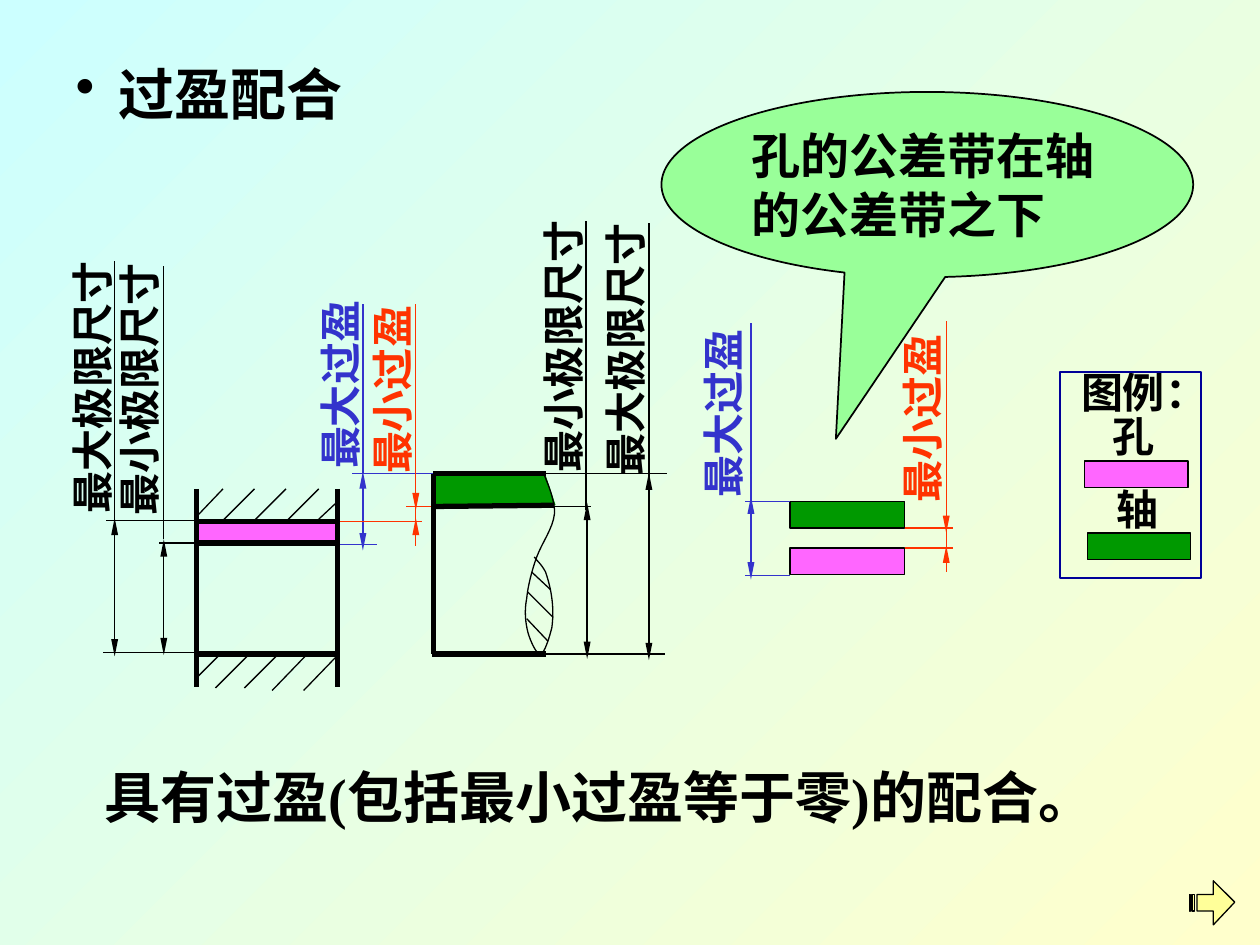
from lxml.etree import SubElement
from pptx import Presentation
from pptx.dml.color import RGBColor
from pptx.enum.lang import MSO_LANGUAGE_ID
from pptx.enum.shapes import MSO_CONNECTOR, MSO_SHAPE
from pptx.enum.text import MSO_ANCHOR, MSO_AUTO_SIZE, PP_ALIGN
from pptx.oxml.ns import qn
from pptx.util import Pt

PX = 9144
BLACK, BLUE, RED, NAVY = "000000", "3333CC", "FF3300", "000099"
HOLE, SHAFT, BUBBLE, YELLOW = "FF66FF", "009900", "99FF99", "FFFF99"
THIN, THICK = 0.75, 3
CURVE_STEPS = 8


def rgb(code):
    return RGBColor.from_string(code)


def px(*lengths):
    return [round(length * PX) for length in lengths]


def write(frame, text, size, colour=BLACK, align=PP_ALIGN.LEFT):
    paragraph = frame.paragraphs[0]
    paragraph.alignment = align
    run = paragraph.add_run()
    run.text = text
    font = run.font
    font.name, font.size, font.bold = "Times New Roman", Pt(size), True
    font.language_id = MSO_LANGUAGE_ID.SIMPLIFIED_CHINESE
    font.color.rgb = rgb(colour)


def add_label(slide, text, box, colour=BLACK, size=24, rotation=0, wrap=False,
              anchor=MSO_ANCHOR.TOP, align=PP_ALIGN.LEFT):
    label = slide.shapes.add_textbox(*px(*box))
    label.rotation = rotation
    frame = label.text_frame
    frame.word_wrap = wrap
    frame.auto_size = MSO_AUTO_SIZE.SHAPE_TO_FIT_TEXT
    frame.vertical_anchor = anchor
    write(frame, text, size, colour, align)


def add_upright_label(slide, text, left, top, length, colour=BLACK, wrap=False):
    add_label(slide, text, (left, top, length, 50), colour, rotation=270, wrap=wrap)


def paint(shape, fill, line, width=THIN):
    shape.shadow.inherit = False
    if fill:
        shape.fill.solid()
        shape.fill.fore_color.rgb = rgb(fill)
    else:
        shape.fill.background()
    if line:
        shape.line.color.rgb = rgb(line)
        shape.line.width = Pt(width)
    else:
        shape.line.fill.background()


def add_preset(slide, preset, box, fill, line=BLACK, width=THIN):
    shape = slide.shapes.add_shape(preset, *px(*box))
    paint(shape, fill, line, width)
    return shape


def add_outline(slide, contours, fill, line, closed=True):
    first, *others = [[tuple(px(*point)) for point in contour] for contour in contours]
    builder = slide.shapes.build_freeform(*first[0], scale=1)
    builder.add_line_segments(first[1:], close=closed)
    for contour in others:
        builder.move_to(*contour[0])
        builder.add_line_segments(contour[1:], close=closed)
    paint(builder.convert_to_shape(), fill, line)


def add_lines(slide, segments, colour=BLACK, width=THIN, ends=()):
    for x1, y1, x2, y2 in segments:
        connector = slide.shapes.add_connector(MSO_CONNECTOR.STRAIGHT, *px(x1, y1, x2, y2))
        connector.line.color.rgb = rgb(colour)
        connector.line.width = Pt(width)
        outline = connector.line._get_or_add_ln()
        for end in ends:
            SubElement(outline, qn(f"a:{end}"), type="triangle", w="sm", len="lg")
        SubElement(connector._element.spPr, qn("a:effectLst"))


def add_dimensions(slide, segments, colour=BLACK):
    add_lines(slide, segments, colour, ends=("headEnd", "tailEnd"))


def add_pointers(slide, segments, colour):
    add_lines(slide, segments, colour, ends=("headEnd",))


def smooth_points(start, curves):
    points = [start]
    for curve in curves:
        corners = [points[-1], *zip(curve[::2], curve[1::2])]
        for step in range(1, CURVE_STEPS + 1):
            t = step / CURVE_STEPS
            weights = ((1 - t) ** 3, 3 * t * (1 - t) ** 2, 3 * t * t * (1 - t), t ** 3)
            points.append(tuple(sum(w * corner[axis] for w, corner in zip(weights, corners))
                                for axis in (0, 1)))
    return points


def draw_background(slide):
    fill = slide.background.fill
    fill.gradient()
    fill.gradient_angle = 315
    for stop, colour in zip(fill.gradient_stops, ("CCFFFF", "FFFFCC")):
        stop.color.rgb = rgb(colour)


def draw_heading(slide):
    heading = slide.shapes.title
    heading.left, heading.top, heading.width, heading.height = px(50, 42, 297, 64)
    frame = heading.text_frame
    frame.auto_size = MSO_AUTO_SIZE.NONE
    frame.vertical_anchor = MSO_ANCHOR.MIDDLE
    properties = frame.paragraphs[0]._p.get_or_add_pPr()
    properties.set("marL", str(34 * PX))
    properties.set("indent", str(-34 * PX))
    SubElement(SubElement(properties, qn("a:buClr")), qn("a:srgbClr"), val=BLACK)
    SubElement(properties, qn("a:buChar"), char="•")
    write(frame, "过盈配合", 32)


def draw_tolerance_zones(slide):
    for top, fill in ((398, SHAFT), (435, HOLE)):
        add_preset(slide, MSO_SHAPE.RECTANGLE, (627, top, 91, 21), fill)
    add_upright_label(slide, "最大过盈", 497, 303, 153, BLUE)
    add_lines(slide, [(627, 398, 591, 398), (627, 457, 591, 457), (596, 398, 596, 256)], BLUE)
    add_dimensions(slide, [(596, 460, 596, 394)], BLUE)
    add_upright_label(slide, "最小过盈", 655, 307, 153, RED)
    add_lines(slide, [(718, 419, 756, 419), (718, 435, 756, 435), (751, 419, 751, 435)], RED)
    add_pointers(slide, [(751, 433, 751, 454), (751, 423, 751, 255)], RED)


def draw_legend(slide):
    add_preset(slide, MSO_SHAPE.RECTANGLE, (863, 423, 82, 21), SHAFT)
    add_preset(slide, MSO_SHAPE.RECTANGLE, (861, 366, 82, 21), HOLE)
    add_label(slide, "孔", (873, 321, 53, 50))
    add_label(slide, "轴", (876, 379, 53, 50))
    add_label(slide, "图例：", (848, 286, 120, 50), anchor=MSO_ANCHOR.MIDDLE,
              align=PP_ALIGN.CENTER)
    add_preset(slide, MSO_SHAPE.RECTANGLE, (841, 295, 112, 164), None, NAVY, 1)


def draw_interferences(slide):
    add_upright_label(slide, "最大过盈", 189, 276, 162, BLUE, wrap=True)
    add_dimensions(slide, [(288, 374, 288, 437)], BLUE)
    add_lines(slide, [(288, 376, 288, 241), (344, 376, 279, 376), (268, 432, 299, 432)], BLUE)
    add_upright_label(slide, "最小过盈", 224, 274, 174, RED, wrap=True)
    add_pointers(slide, [(330, 411, 330, 433), (330, 405, 330, 241)], RED)
    add_lines(slide, [(269, 414, 335, 414), (346, 402, 322, 402), (330, 414, 330, 402)], RED)


def draw_callout(slide):
    callout = add_preset(slide, MSO_SHAPE.OVAL_CALLOUT, (525, 73, 422, 147), BUBBLE, width=1)
    callout.adjustments[0], callout.adjustments[1] = -0.172, 1.373
    frame = callout.text_frame
    frame.word_wrap = True
    frame.vertical_anchor = MSO_ANCHOR.MIDDLE
    write(frame, "孔的公差带在轴的公差带之下", 28)


def draw_shaft(slide):
    add_upright_label(slide, "最大极限尺寸", 383, 249, 226, wrap=True)
    add_upright_label(slide, "最小极限尺寸", 337, 250, 220)
    add_lines(slide, [(433, 519, 528, 519), (434, 402, 469, 402), (433, 376, 529, 376),
                      (465, 405, 465, 175), (515, 381, 515, 177)])
    add_dimensions(slide, [(466, 399, 466, 523), (515, 524, 515, 375)])
    add_outline(slide, [[(344, 377), (433, 377), (441, 401), (344, 401)]], SHAFT, None)
    add_lines(slide, [(344, 376, 344, 519), (344, 376, 433, 376),
                      (343, 519, 433, 519), (344, 402, 440, 401)], width=THICK)
    broken_end = smooth_points((432, 377), [
        (434, 382, 441, 398, 440, 408), (439, 419, 430, 431, 426, 442),
        (422, 453, 419, 465, 418, 475), (416, 485, 417, 494, 419, 502),
        (421, 509, 426, 520, 429, 519), (432, 519, 436, 506, 438, 498),
        (439, 491, 439, 482, 438, 475), (437, 467, 435, 460, 433, 454),
        (430, 448, 426, 445, 424, 442)])
    add_outline(slide, [broken_end], None, BLACK, closed=False)
    add_lines(slide, [(419, 470, 439, 490), (418, 491, 435, 509), (422, 454, 437, 468)])


def draw_hole(slide):
    add_upright_label(slide, "最小极限尺寸", 0, 284, 220)
    add_upright_label(slide, "最大极限尺寸", -37, 282, 220)
    add_outline(slide, [[(156, 414), (268, 414), (268, 432), (156, 432)]], HOLE, None)
    add_lines(slide, [(156, 431, 126, 431), (156, 518, 82, 518), (156, 413, 84, 413),
                      (91, 413, 91, 207), (130, 428, 130, 211)])
    add_dimensions(slide, [(130, 428, 130, 520), (91, 411, 91, 521)])
    add_lines(slide, [(x, 388, x, 545) for x in (156, 268)], width=THICK)
    add_lines(slide, [(156, y, 269, y) for y in (431, 519, 414)], width=THICK)
    upper_hatching = [(177, 413, 202, 388), (201, 414, 227, 388), (228, 413, 253, 388),
                      (156, 410, 177, 388), (252, 413, 268, 398)]
    lower_hatching = [(156, 538, 175, 519), (171, 546, 199, 518), (194, 546, 222, 518),
                      (216, 548, 244, 519), (241, 548, 269, 519)]
    add_lines(slide, upper_hatching + lower_hatching)


def draw_next_arrow(slide):
    arrow = [(963, 699), (963, 710), (950, 710), (950, 723), (963, 723), (963, 734), (980, 716)]
    stripes = [[(left, 710), (left, 723), (right, 723), (right, 710)]
               for left, right in ((946, 948), (944, 945))]
    add_outline(slide, [arrow, *stripes], YELLOW, BLACK)


def main():
    presentation = Presentation()
    presentation.slide_width, presentation.slide_height = px(1000, 750)
    slide = presentation.slides.add_slide(presentation.slide_layouts[5])
    draw_background(slide)
    draw_tolerance_zones(slide)
    draw_heading(slide)
    draw_legend(slide)
    add_label(slide, "具有过盈(包括最小过盈等于零)的配合。", (73, 600, 849, 64), size=32,
              anchor=MSO_ANCHOR.MIDDLE)
    draw_interferences(slide)
    draw_callout(slide)
    draw_shaft(slide)
    draw_hole(slide)
    draw_next_arrow(slide)
    presentation.save("out.pptx")


if __name__ == "__main__":
    main()
